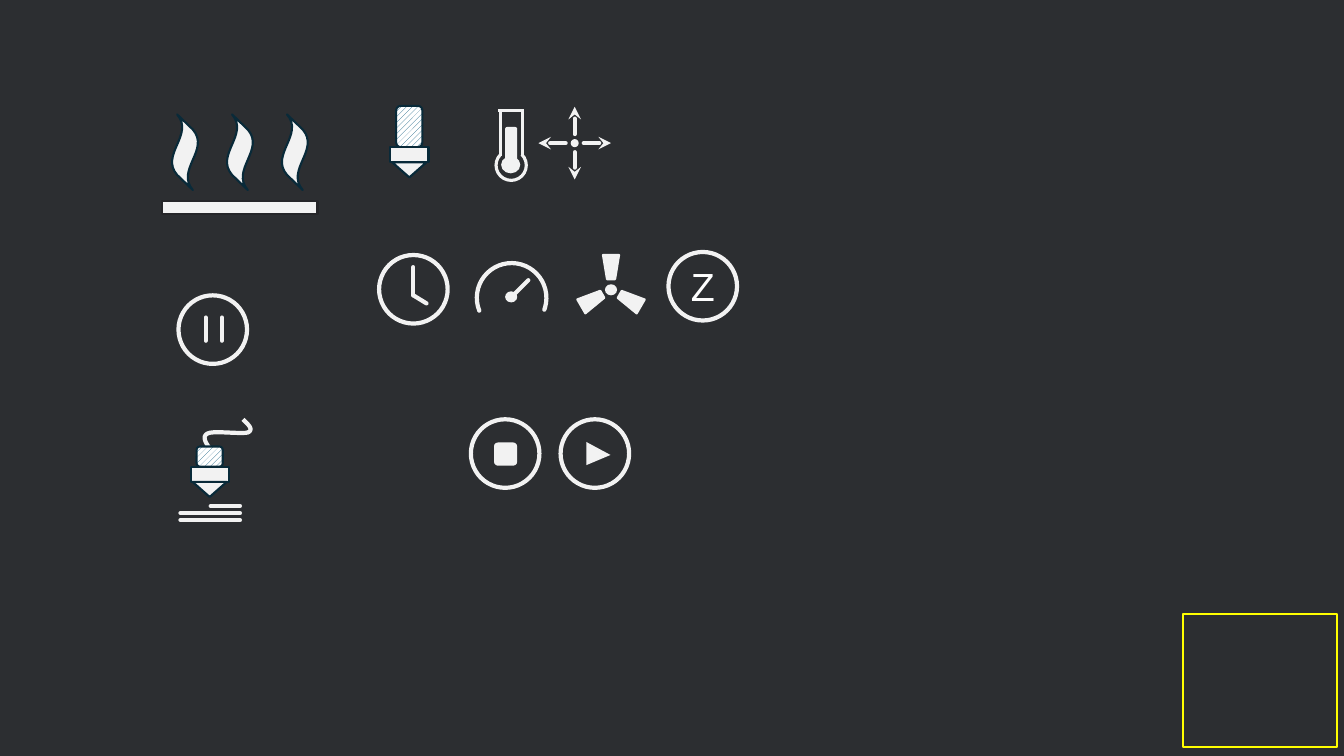
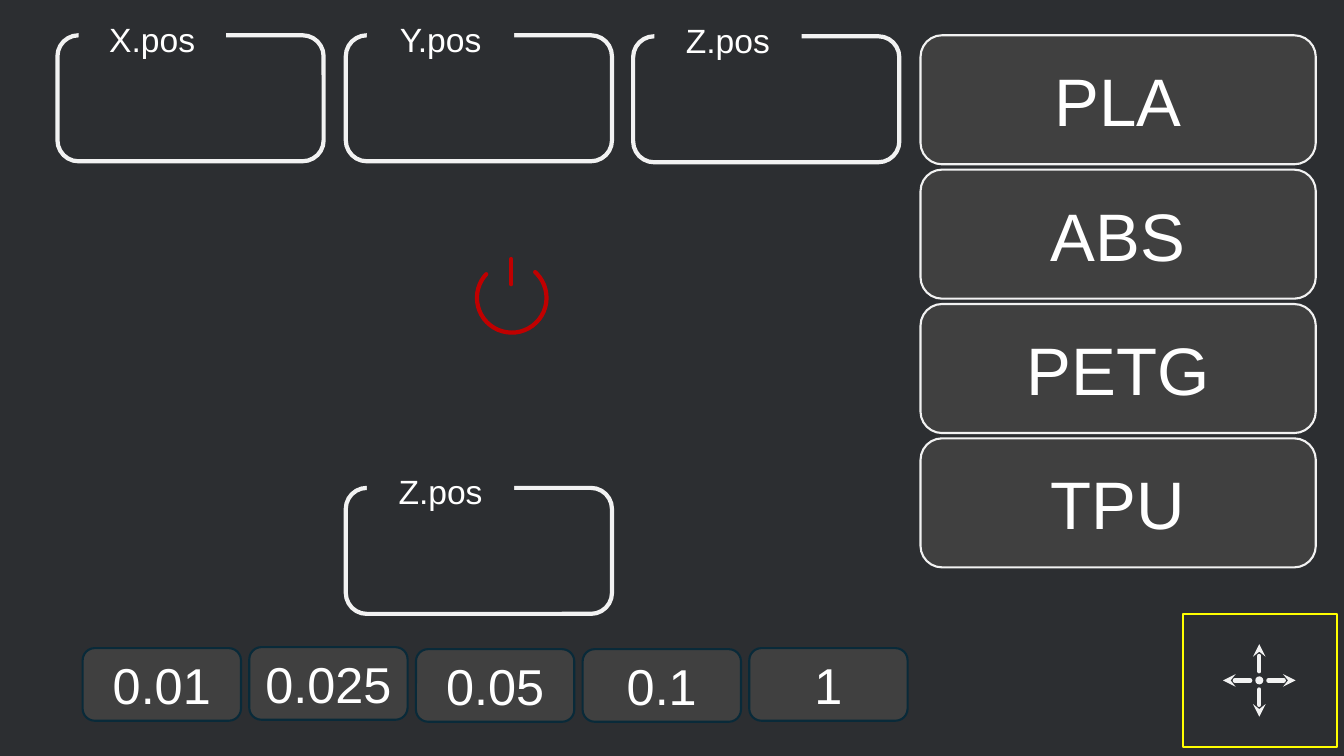
"""Build two slides of printer control icons and touch-screen buttons."""
import dataclasses
import math

import lxml.etree
import pptx
import pptx.dml.color
import pptx.enum.dml
import pptx.enum.shapes
import pptx.enum.text
import pptx.oxml.ns
import pptx.util

Inches = pptx.util.Inches
Kind = pptx.enum.shapes.MSO_SHAPE


@dataclasses.dataclass(frozen=True)
class Theme:
    """Colours, font, type sizes and line widths of the deck."""
    background: str = "2C2E31"
    ink: str = "F2F2F2"
    text: str = "FFFFFF"
    navy: str = "092A39"
    plate: str = "262629"
    hatch: str = "156082"
    button: str = "404040"
    highlight: str = "FFFF00"
    power: str = "C00000"
    font: str = "Arial"
    label: int = 24
    letter: int = 28
    step: int = 36
    material: int = 48
    thin: float = 1.5
    medium: float = 2.25
    thick: float = 3


THEME = Theme()


def colour(code):
    """Return the colour for a hexadecimal code."""
    return pptx.dml.color.RGBColor.from_string(code)


def set_line(shape, code, width, rounded=False):
    """Give a shape or connector its outline and return the line element."""
    shape.line.color.rgb = colour(code)
    shape.line.width = pptx.util.Pt(width)
    element = shape.element.spPr.find(pptx.oxml.ns.qn("a:ln"))
    if rounded:
        element.set("cap", "rnd")
    return element


def add_box(canvas, kind, left, top, width, height, fill=None, line=None,
            weight=THEME.thin, turn=0, adjust=(), rounded=False):
    """Add a preset shape with an optional fill and outline."""
    box = canvas.shapes.add_shape(
        kind, Inches(left), Inches(top), Inches(width), Inches(height))
    box.shadow.inherit = False
    box.rotation = turn
    for index, value in enumerate(adjust):
        box.adjustments[index] = value
    if fill:
        box.fill.solid()
        box.fill.fore_color.rgb = colour(fill)
    else:
        box.fill.background()
    if line:
        set_line(box, line, weight, rounded)
    else:
        box.line.fill.background()
    return box


def add_line(canvas, start, end, code=THEME.ink, weight=THEME.thick,
             rounded=True, arrow=False):
    """Add a straight line, with a stealth arrowhead if asked."""
    line = canvas.shapes.add_connector(
        pptx.enum.shapes.MSO_CONNECTOR.STRAIGHT,
        *(Inches(value) for value in (*start, *end)))
    element = set_line(line, code, weight, rounded)
    if arrow:
        lxml.etree.SubElement(
            element, pptx.oxml.ns.qn("a:tailEnd"), type="stealth")
    lxml.etree.SubElement(
        line.element.spPr, pptx.oxml.ns.qn("a:effectLst"))


def add_text(box, text, size, code=THEME.text, font=THEME.font):
    """Write one centred line of text in a box."""
    frame = box.text_frame
    frame.word_wrap = False
    frame.vertical_anchor = pptx.enum.text.MSO_ANCHOR.MIDDLE
    frame.margin_left = frame.margin_right = 0
    frame.margin_top = frame.margin_bottom = 0
    para = frame.paragraphs[0]
    para.alignment = pptx.enum.text.PP_ALIGN.CENTER
    span = para.add_run()
    span.text = text
    span.font.size = pptx.util.Pt(size)
    span.font.name = font
    span.font.color.rgb = colour(code)


def add_ring(canvas, left, top):
    """Add the circle that surrounds a round icon."""
    return add_box(canvas, Kind.OVAL, left, top, 0.68, 0.68,
                   line=THEME.ink, weight=THEME.thick)


def add_arc(canvas, code, turn, adjust):
    """Add the open ring shared by the gauge and the power icon."""
    add_box(canvas, Kind.ARC, 4.73, 2.61, 0.69, 0.69, line=code,
            weight=THEME.thick, turn=turn, adjust=adjust, rounded=True)


def add_nozzle(canvas, centre, top, barrel_height):
    """Add a hatched barrel above a collar and a pointed tip."""
    barrel = add_box(canvas, Kind.ROUNDED_RECTANGLE, centre - 0.13,
                     top - barrel_height, 0.26, barrel_height,
                     line=THEME.navy)
    barrel.fill.patterned()
    barrel.fill.pattern = pptx.enum.dml.MSO_PATTERN.WIDE_UPWARD_DIAGONAL
    barrel.fill.fore_color.rgb = colour(THEME.hatch)
    barrel.fill.back_color.rgb = colour(THEME.text)
    add_box(canvas, Kind.RECTANGLE, centre - 0.19, top, 0.38, 0.15,
            THEME.ink, THEME.navy)
    add_box(canvas, Kind.DOWN_ARROW, centre - 0.17, top + 0.15, 0.34, 0.15,
            THEME.ink, THEME.navy, adjust=(0.5, 1.21))


def add_heated_bed(page):
    """Add three heat waves above a plate."""
    icon = page.shapes.add_group_shape()
    add_box(icon, Kind.RECTANGLE, 1.61, 1.99, 1.54, 0.13,
            THEME.ink, THEME.plate)
    for index in range(3):
        add_box(icon, Kind.WAVE, 1.46 + 0.545 * index, 1.38, 0.75, 0.26,
                THEME.ink, THEME.navy, turn=270, adjust=(0.2, -0.1))


def add_thermometer(page):
    """Add a thermometer with an open tube and a filled core."""
    icon = page.shapes.add_group_shape()
    add_box(icon, Kind.ARC, 4.92, 1.49, 0.3, 0.3, line=THEME.ink,
            weight=THEME.medium, turn=45, adjust=(162, 105.92))
    for start, end in (((4.96, 1.1), (4.96, 1.55)),
                       ((4.94, 1.1), (5.2, 1.1)),
                       ((5.18, 1.09), (5.18, 1.54))):
        add_line(icon, start, end, weight=THEME.medium, rounded=False)
    add_box(icon, Kind.OVAL, 4.97, 1.55, 0.19, 0.17, THEME.ink)
    add_box(icon, Kind.ROUNDED_RECTANGLE, 5.01, 1.26, 0.12, 0.33, THEME.ink)


def add_move_icon(page, x, y):
    """Add four arrows that point away from a central dot."""
    icon = page.shapes.add_group_shape()
    for across, down in ((0, 1), (-1, 0), (0, -1), (1, 0)):
        add_line(icon, (x + 0.09 * across, y + 0.09 * down),
                 (x + 0.36 * across, y + 0.36 * down), arrow=True)
    add_box(icon, Kind.OVAL, x - 0.04, y - 0.04, 0.08, 0.08, THEME.ink)


def add_clock(page):
    """Add a clock face with two hands."""
    icon = page.shapes.add_group_shape()
    add_ring(icon, 3.76, 2.53)
    for tip in ((4.1, 2.65), (4.23, 3.01)):
        add_line(icon, tip, (4.1, 2.93))


def add_gauge(page):
    """Add a speed gauge with a needle."""
    icon = page.shapes.add_group_shape()
    add_arc(icon, THEME.ink, 315.8, (121.51, 38.5))
    add_box(icon, Kind.OVAL, 5.01, 2.89, 0.12, 0.11, THEME.ink)
    add_line(icon, (5.24, 2.78), (5.07, 2.95))


def add_fan(page):
    """Add three fan blades at equal angles round a hub."""
    icon = page.shapes.add_group_shape()
    x, y, radius = 6.06, 2.87, 0.22
    add_box(icon, Kind.OVAL, x - 0.06, y - 0.05, 0.12, 0.11, THEME.ink)
    for angle in (0, 120, 240):
        blade_x = x + radius * math.sin(math.radians(angle))
        blade_y = y - radius * math.cos(math.radians(angle))
        add_box(icon, Kind.TRAPEZOID, blade_x - 0.08, blade_y - 0.12,
                0.16, 0.24, THEME.ink, THEME.ink, turn=(angle + 180) % 360)


def add_player_icons(page):
    """Add the pause, stop and play icons."""
    pause, stop, play = (page.shapes.add_group_shape() for _ in range(3))
    add_ring(pause, 1.77, 2.93)
    for x in (2.04, 2.2):
        add_line(pause, (x, 3.15), (x, 3.38))
    add_ring(stop, 4.67, 4.16)
    add_box(stop, Kind.ROUNDED_RECTANGLE, 4.9, 4.39, 0.23, 0.23, THEME.ink)
    add_ring(play, 5.56, 4.16)
    add_box(play, Kind.ISOSCELES_TRIANGLE, 5.82, 4.38, 0.23, 0.24,
            THEME.ink, turn=90, adjust=(0.56,))


def curve_points(start, *curves, steps=10):
    """Return points along a chain of cubic curves."""
    points = []
    for first, second, end in curves:
        for step in range(1, steps + 1):
            t = step / steps
            weights = ((1 - t) ** 3, 3 * t * (1 - t) ** 2,
                       3 * t * t * (1 - t), t ** 3)
            points.append(tuple(
                Inches(sum(w * v for w, v in zip(weights, values)))
                for values in zip(start, first, second, end)))
        start = end
    return points


def add_printing_icon(page):
    """Add a nozzle fed by filament above printed layers."""
    icon = page.shapes.add_group_shape()
    start = (2.08, 4.45)
    builder = icon.shapes.build_freeform(*(Inches(v) for v in start))
    builder.add_line_segments(curve_points(
        start,
        ((2.04, 4.39), (2, 4.33), (2.06, 4.3)),
        ((2.12, 4.27), (2.4, 4.31), (2.46, 4.29)),
        ((2.52, 4.26), (2.46, 4.21), (2.41, 4.16))), close=False)
    filament = builder.convert_to_shape()
    filament.shadow.inherit = False
    filament.fill.background()
    set_line(filament, THEME.ink, THEME.thick)
    add_nozzle(icon, 2.08, 4.63, 0.2)
    for index, left in enumerate((2.09, 1.79, 1.79)):
        y = 5.02 + 0.07 * index
        add_line(icon, (2.38, y), (left, y))


def add_power_icon(page):
    """Add the red power icon."""
    icon = page.shapes.add_group_shape()
    add_arc(icon, THEME.power, 135.8, (105.87, 52.23))
    add_line(icon, (5.07, 2.82), (5.07, 2.57), code=THEME.power)


def add_position_panel(page, text, left, top):
    """Add a framed panel whose label interrupts the upper edge."""
    panel = page.shapes.add_group_shape()
    add_box(panel, Kind.ROUNDED_RECTANGLE, left, top, 2.64, 1.25,
            line=THEME.ink, weight=THEME.thick)
    label = add_box(panel, Kind.ROUNDED_RECTANGLE, left + 0.21, top - 0.32,
                    1.46, 0.71, THEME.background)
    add_text(label, text, size=THEME.label)


def add_button(page, text, left, top, width, height, line, size):
    """Add a rounded button with its caption."""
    button = add_box(page, Kind.ROUNDED_RECTANGLE, left, top, width, height,
                     THEME.button, line)
    add_text(button, text, size=size)


def add_page(deck):
    """Add a dark page with the highlighted corner cell."""
    page = deck.slides.add_slide(deck.slide_layouts[6])
    page.background.fill.solid()
    page.background.fill.fore_color.rgb = colour(THEME.background)
    add_box(page, Kind.RECTANGLE, 11.73, 6.09, 1.53, 1.32,
            THEME.background, THEME.highlight)
    return page


def build_icon_page(deck):
    """Build the page of icons."""
    page = add_page(deck)
    add_heated_bed(page)
    add_nozzle(page, 4.06, 1.46, 0.41)
    add_thermometer(page)
    add_move_icon(page, 5.7, 1.42)
    for add_icon in (add_clock, add_gauge, add_fan, add_player_icons,
                     add_printing_icon):
        add_icon(page)
    add_text(add_ring(page, 6.63, 2.5), "Z", size=THEME.letter)


def build_control_page(deck):
    """Build the page of position panels and buttons."""
    page = add_page(deck)
    add_move_icon(page, 12.49, 6.75)
    for text, left, top in (("X.pos", 0.57, 0.35), ("Y.pos", 3.43, 0.35),
                            ("Z.pos", 6.28, 0.36), ("Z.pos", 3.43, 4.84)):
        add_position_panel(page, text, left, top)
    add_power_icon(page)
    for index, text in enumerate(("PLA", "ABS", "PETG", "TPU")):
        add_button(page, text, 9.13, 0.35 + 1.333 * index, 3.92, 1.28,
                   THEME.ink, THEME.material)
    steps = (("0.01", 6.43), ("0.025", 6.42), ("0.05", 6.44),
             ("0.1", 6.44), ("1", 6.43))
    for index, (text, top) in enumerate(steps):
        add_button(page, text, 0.82 + 1.653 * index, top, 1.57, 0.72,
                   THEME.navy, THEME.step)


def main():
    """Build and save the deck."""
    deck = pptx.Presentation()
    deck.slide_width = Inches(13.33)
    deck.slide_height = Inches(7.5)
    build_icon_page(deck)
    build_control_page(deck)
    deck.save("out.pptx")


if __name__ == "__main__":
    main()
